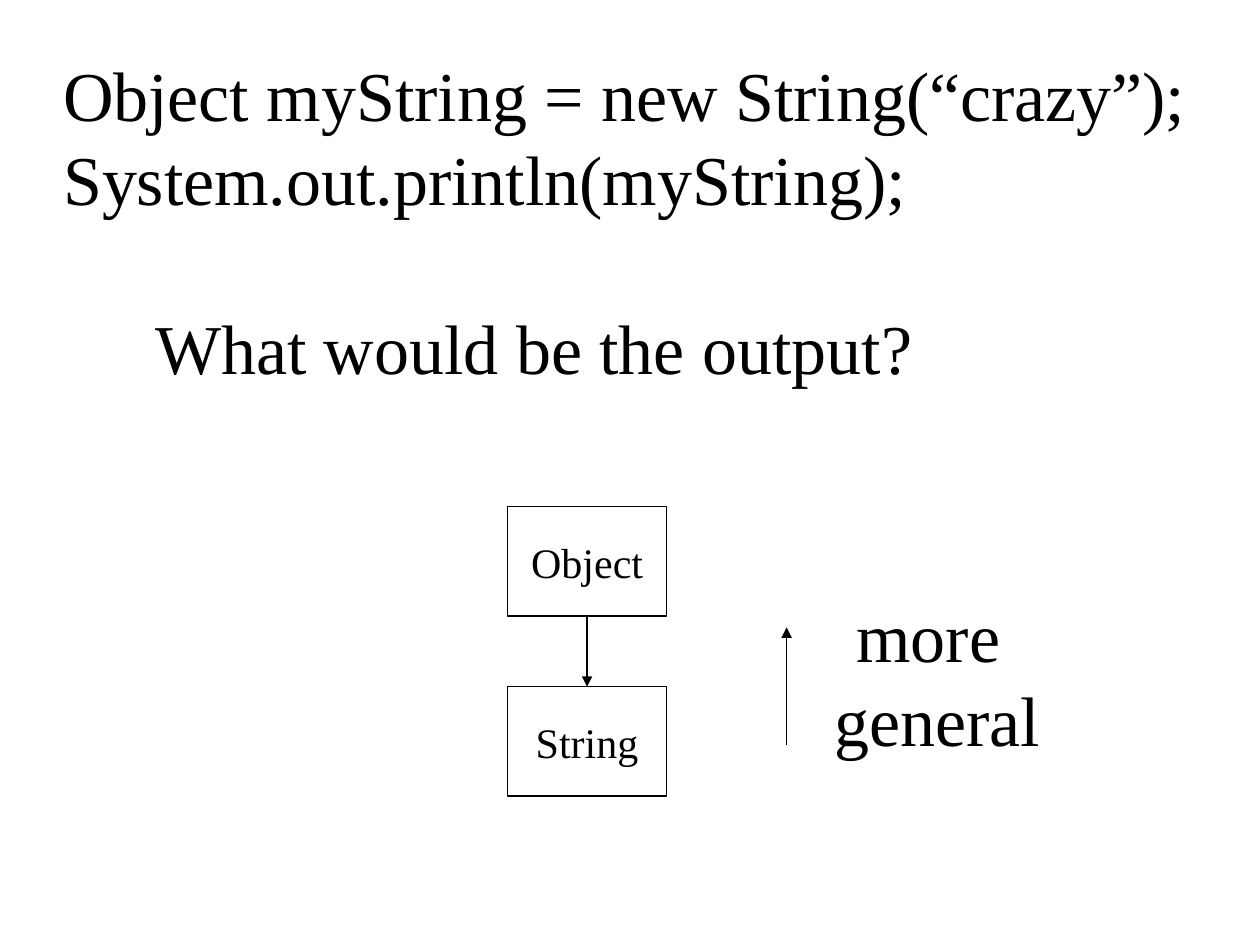
"""Build a slide asking what a println call on a general reference prints."""
from typing import NamedTuple

from lxml.etree import SubElement
from pptx import Presentation
from pptx.dml.color import RGBColor
from pptx.enum.shapes import MSO_CONNECTOR, MSO_SHAPE
from pptx.enum.text import MSO_ANCHOR as ANCHOR, MSO_AUTO_SIZE as FIT, PP_ALIGN as ALIGN
from pptx.oxml.ns import qn
from pptx.util import Pt

COLORS = {"ink": "000000"}
FONT = "Times New Roman"
INK = RGBColor.from_string(COLORS["ink"])
LINE_WIDTH = 0.75
BOX_LEFT, BOX_WIDTH, BOX_HEIGHT = 290, 91, 62.5


class Label(NamedTuple):
    text: str
    left: float
    top: float
    width: float
    height: float
    align: ALIGN = ALIGN.LEFT


class ClassBox(NamedTuple):
    name: str
    top: float


LABELS = [
    Label("Object myString = new String(“crazy”);\nSystem.out.println(myString);",
          29, 26, 656, 104),
    Label("more \ngeneral", 469.5, 335, 132, 104, ALIGN.CENTER),
    Label("What would be the output?", 81.5, 170.5, 447, 55.5),
]
CLASS_BOXES = [ClassBox("Object", 289.5), ClassBox("String", 392.4)]


def write(tf, text: str, size: float, align: ALIGN) -> None:
    """Fill a text frame with formatted, unwrapped text."""
    tf.text = text
    tf.word_wrap = False
    for p in tf.paragraphs:
        p.alignment = align
        for r in p.runs:
            r.font.name, r.font.size = FONT, Pt(size)
            r.font.color.rgb = INK


def draw_label(s, label: Label) -> None:
    """Draw a large free-standing text."""
    sp = s.shapes.add_textbox(*map(Pt, label[1:5]))
    write(sp.text_frame, label.text, 40, label.align)
    sp.text_frame.auto_size = FIT.SHAPE_TO_FIT_TEXT


def draw_class_box(s, box: ClassBox):
    """Draw an outlined class box and return it."""
    sp = s.shapes.add_shape(MSO_SHAPE.RECTANGLE, Pt(BOX_LEFT), Pt(box.top),
                            Pt(BOX_WIDTH), Pt(BOX_HEIGHT))
    sp.shadow.inherit = False
    sp.fill.background()
    sp.line.color.rgb = INK
    sp.line.width = Pt(LINE_WIDTH)
    write(sp.text_frame, box.name, 24, ALIGN.CENTER)
    sp.text_frame.vertical_anchor = ANCHOR.MIDDLE
    return sp


def draw_arrow(s, x: float, start: float, end: float):
    """Draw a vertical arrow and return its connector."""
    cxn = s.shapes.add_connector(MSO_CONNECTOR.STRAIGHT, Pt(x), Pt(start), Pt(x), Pt(end))
    cxn.line.color.rgb = INK
    cxn.line.width = Pt(LINE_WIDTH)
    SubElement(cxn.line._get_or_add_ln(), qn("a:tailEnd"), type="triangle")
    SubElement(cxn._element.spPr, qn("a:effectLst"))
    return cxn


def main() -> None:
    """Assemble and save the slide."""
    prs = Presentation()
    prs.slide_width, prs.slide_height = Pt(720), Pt(540)
    s = prs.slides.add_slide(prs.slide_layouts[6])
    for label in LABELS:
        draw_label(s, label)
    parent, child = [draw_class_box(s, box) for box in CLASS_BOXES]
    cxn = draw_arrow(s, BOX_LEFT + BOX_WIDTH / 2,
                     CLASS_BOXES[0].top + BOX_HEIGHT, CLASS_BOXES[1].top)
    cxn.begin_connect(parent, 2)
    cxn.end_connect(child, 0)
    draw_arrow(s, 449.5, 426, 358.5)
    prs.save("out.pptx")


if __name__ == "__main__":
    main()
